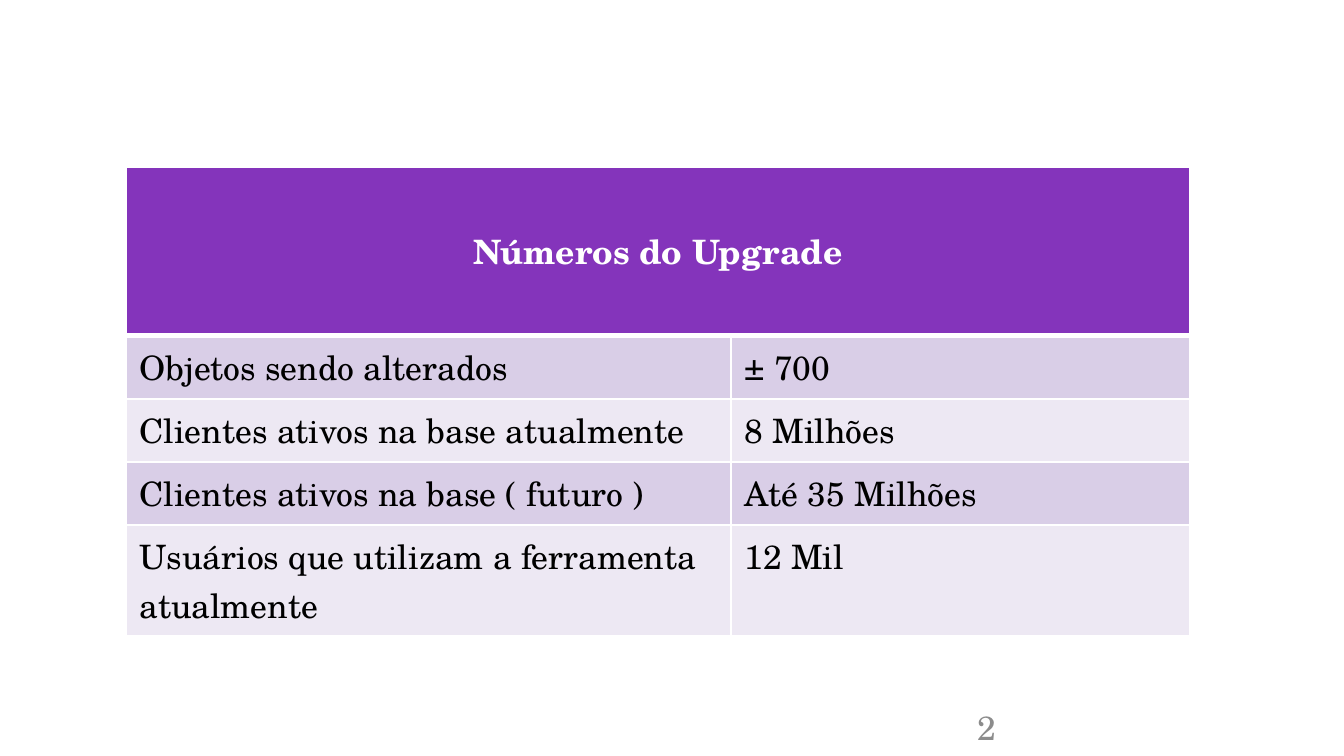
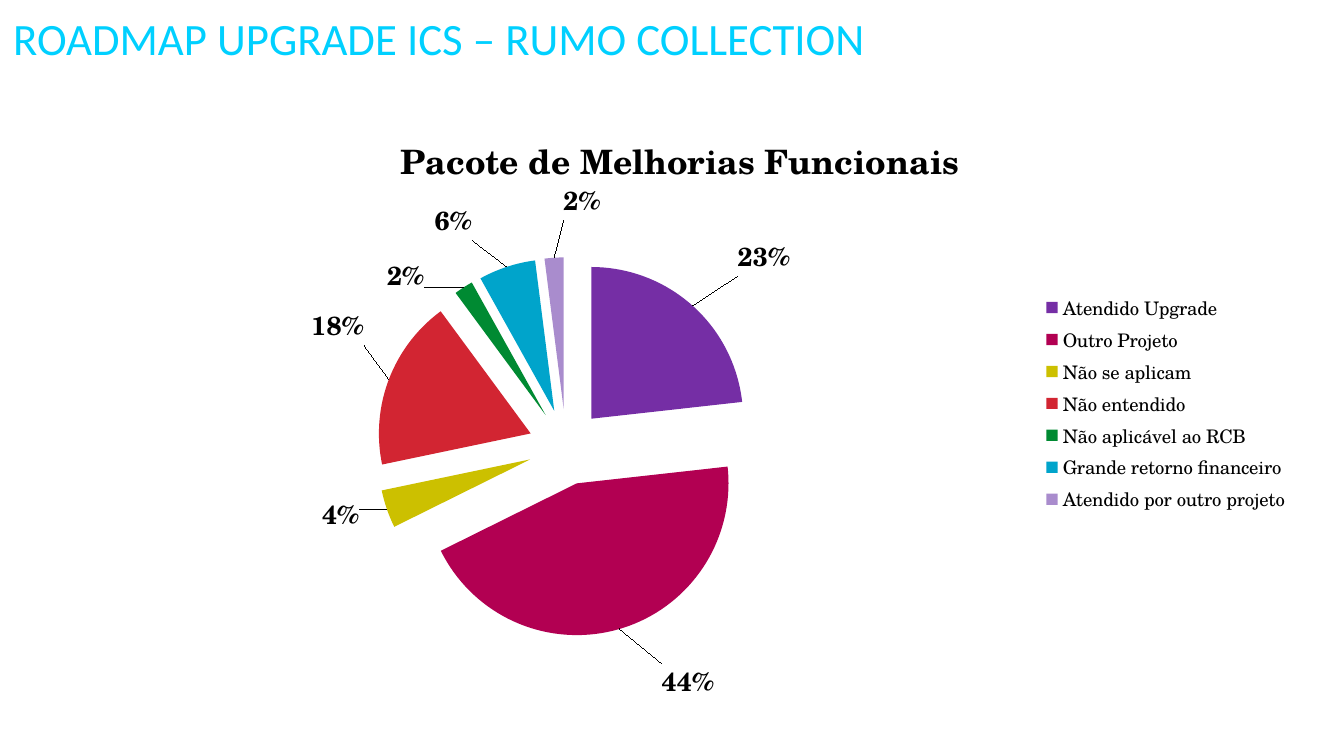
from copy import deepcopy
from dataclasses import dataclass

from lxml import etree
from pptx import Presentation
from pptx.chart.data import CategoryChartData
from pptx.dml.color import RGBColor
from pptx.enum.chart import XL_CHART_TYPE as ChartType
from pptx.enum.chart import XL_LABEL_POSITION as LabelPosition
from pptx.enum.chart import XL_LEGEND_POSITION as LegendPosition
from pptx.enum.text import MSO_ANCHOR as Anchor
from pptx.enum.text import PP_ALIGN as Align
from pptx.oxml import parse_xml
from pptx.oxml.ns import nsdecls, qn
from pptx.util import Pt

PX = 914400 / 134.4


def px(length):
    return round(length * PX)


@dataclass(frozen=True)
class Theme:
    serif: str = "TeX Gyre Schola"
    sans: str = "Calibri"
    title: str = "00D0FF"
    ink: str = "000000"
    muted: str = "8C8C8C"
    white: str = "FFFFFF"
    header: str = "8434BB"
    bands: tuple = ("D9CEE7", "EDE8F3")
    slices: tuple = ("752EA5", "B20052", "CCC000", "D22532",
                     "008A32", "00A4CB", "A98CCD")
    title_size: int = 24
    body_size: int = 18
    label_size: int = 14
    legend_size: int = 10


class SlideBuilder:
    def __init__(self, deck, theme):
        self.deck = deck
        self.theme = theme
        self.page = None

    def new_page(self):
        self.page = self.deck.slides.add_slide(self.deck.slide_layouts[6])

    def style(self, font, size, color, bold=False, face=None):
        font.name = face or self.theme.serif
        font.size = Pt(size)
        font.bold = bold
        font.color.rgb = RGBColor.from_string(color)

    def add_span(self, frame, text, size, color, align=Align.LEFT, **look):
        para = frame.paragraphs[0]
        para.alignment = align
        span = para.add_run()
        span.text = text
        self.style(span.font, size, color, **look)

    def text(self, text, area, size, color, anchor=Anchor.TOP, **look):
        box = self.page.shapes.add_textbox(*map(px, area))
        frame = box.text_frame
        frame.word_wrap = True
        frame.vertical_anchor = anchor
        self.add_span(frame, text, size, color, **look)

    def title(self, text):
        self.text(text, (0, 4, 1344, 67), self.theme.title_size,
                  self.theme.title, Anchor.MIDDLE, face=self.theme.sans)

    def page_number(self, number):
        self.text(str(number), (964, 700, 313, 40),
                  self.theme.body_size, self.theme.muted)

    def paint_cell(self, cell, fill, top=1, bottom=1):
        cell.fill.solid()
        cell.fill.fore_color.rgb = RGBColor.from_string(fill)
        properties = cell._tc.get_or_add_tcPr()
        widths = {"lnL": 1, "lnR": 1, "lnT": top, "lnB": bottom}
        for place, (side, width) in enumerate(widths.items()):
            properties.insert(place, parse_xml(
                f'<a:{side} {nsdecls("a")} w="{Pt(width)}"><a:solidFill>'
                f'<a:srgbClr val="{self.theme.white}"/></a:solidFill></a:{side}>'))

    def table(self, heading, rows, left, top, widths, heights):
        theme = self.theme
        frame = self.page.shapes.add_table(
            len(heights), len(widths), px(left), px(top),
            px(sum(widths)), px(sum(heights)))
        table = frame.table
        for column, width in zip(table.columns, widths):
            column.width = px(width)
        for row, height in zip(table.rows, heights):
            row.height = px(height)
        head = table.cell(0, 0)
        head.merge(table.cell(0, len(widths) - 1))
        for column in range(len(widths)):
            self.paint_cell(table.cell(0, column), theme.header, bottom=3)
        head.vertical_anchor = Anchor.MIDDLE
        self.add_span(head.text_frame, heading, theme.body_size, theme.white,
                      Align.CENTER, bold=True)
        for number, values in enumerate(rows, 1):
            band = theme.bands[(number - 1) % len(theme.bands)]
            for column, value in enumerate(values):
                cell = table.cell(number, column)
                self.paint_cell(cell, band, top=3 if number == 1 else 1)
                self.add_span(cell.text_frame, value, theme.body_size, theme.ink)

    def manual_layout(self, **settings):
        layout = etree.Element(qn("c:layout"))
        manual = etree.SubElement(layout, qn("c:manualLayout"))
        for name, value in settings.items():
            etree.SubElement(manual, qn(f"c:{name}")).set("val", str(value))
        return layout

    def shift_labels(self, labels, shifts, width, height):
        group = labels._element
        shared = [child for child in group
                  if child.tag not in (qn("c:showLeaderLines"), qn("c:leaderLines"))]
        for number, (across, down) in enumerate(shifts):
            label = etree.Element(qn("c:dLbl"))
            etree.SubElement(label, qn("c:idx")).set("val", str(number))
            label.append(self.manual_layout(
                x=round(across / width, 3), y=round(down / height, 3)))
            label.extend(deepcopy(child) for child in shared)
            group.insert(number, label)

    def pie(self, heading, slices, area, plot_area):
        theme = self.theme
        left, top, width, height = area
        data = CategoryChartData()
        data.categories = [name for name, value, shift in slices]
        data.add_series("Series 1", [value for name, value, shift in slices])
        chart = self.page.shapes.add_chart(
            ChartType.PIE, *map(px, area), data).chart
        self.style(chart.font, theme.legend_size, theme.ink)

        chart.has_title = True
        self.add_span(chart.chart_title.text_frame, heading, theme.body_size,
                      theme.ink, Align.CENTER, bold=True)
        chart.chart_title.include_in_layout = False
        chart.has_legend = True
        chart.legend.position = LegendPosition.RIGHT
        chart.legend.include_in_layout = False
        self.style(chart.legend.font, theme.legend_size, theme.ink)

        plot = chart.plots[0]
        plot.vary_by_categories = True
        series = plot.series[0]
        explosion = etree.Element(qn("c:explosion"))
        explosion.set("val", "25")
        series._element.find(qn("c:tx")).addnext(explosion)
        for number, color in enumerate(theme.slices):
            fill = series.points[number].format.fill
            fill.solid()
            fill.fore_color.rgb = RGBColor.from_string(color)

        labels = series.data_labels
        labels.show_percentage = True
        labels.show_value = False
        labels.number_format = "0%"
        labels.number_format_is_linked = False
        labels.position = LabelPosition.OUTSIDE_END
        self.style(labels.font, theme.label_size, theme.ink, bold=True)
        self.shift_labels(labels, [shift for name, value, shift in slices],
                          width, height)

        x, y, plot_width, plot_height = plot_area
        region = chart._chartSpace.chart.plotArea
        for old in region.findall(qn("c:layout")):
            region.remove(old)
        region.insert(0, self.manual_layout(
            layoutTarget="inner", xMode="edge", yMode="edge",
            x=round((x - left) / width, 3), y=round((y - top) / height, 3),
            w=round(plot_width / width, 3), h=round(plot_height / height, 3)))


def main():
    deck = Presentation()
    deck.slide_width, deck.slide_height = px(1344), px(756)
    builder = SlideBuilder(deck, Theme())

    builder.new_page()
    builder.page_number(2)
    builder.table(
        "Números do Upgrade",
        [("Objetos sendo alterados", "± 700"),
         ("Clientes ativos na base atualmente", "8 Milhões"),
         ("Clientes ativos na base ( futuro )", "Até 35 Milhões"),
         ("Usuários que utilizam a ferramenta atualmente", "12 Mil")],
        left=126, top=167, widths=(605, 459), heights=(169, 63, 63, 63, 111))

    builder.new_page()
    builder.title("ROADMAP UPGRADE ICS – RUMO COLLECTION")
    builder.pie(
        "Pacote de Melhorias Funcionais",
        [("Atendido Upgrade", 23, (40, -24)),
         ("Outro Projeto", 44, (40, 27)),
         ("Não se aplicam", 4, (-20, -18)),
         ("Não entendido", 18, (-18, -31)),
         ("Não aplicável ao RCB", 2, (-35, 14)),
         ("Grande retorno financeiro", 6, (-32, -19)),
         ("Atendido por outro projeto", 2, (28, -29))],
        area=(58, 106, 1244, 595), plot_area=(376, 257, 380, 380))

    deck.save("out.pptx")


if __name__ == "__main__":
    main()
